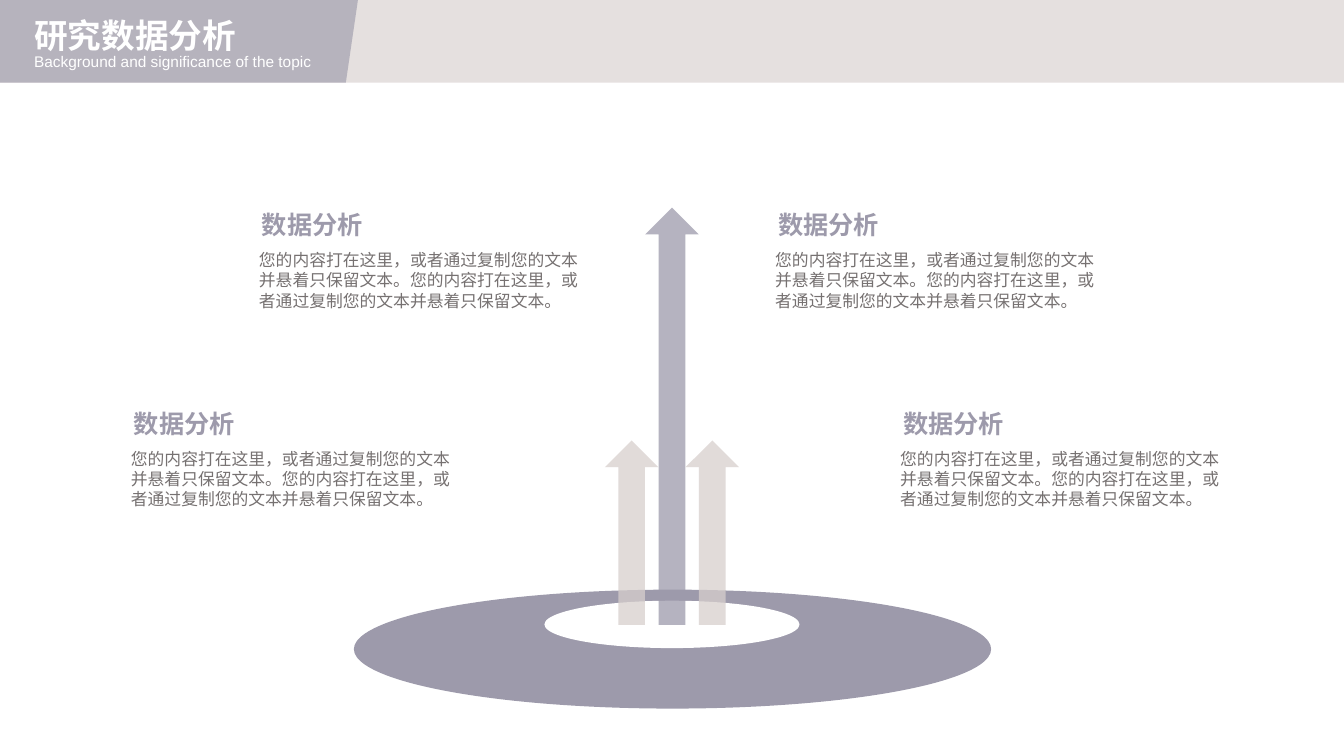
from lxml.etree import SubElement
from pptx import Presentation
from pptx.dml.color import RGBColor
from pptx.enum.shapes import MSO_SHAPE
from pptx.enum.text import MSO_ANCHOR, MSO_AUTO_SIZE, PP_ALIGN
from pptx.oxml.ns import qn
from pptx.util import Pt

PX = 9144
WIDTH, HEIGHT = 1333, 750
MAUVE, SAND, WHITE, GREY = "9D9AAB", "D7CFCD", "FFFFFF", "767171"
HEADING = "数据分析"
BODY = "您的内容打在这里，或者通过复制您的文本并悬着只保留文本。" * 2
BLOCKS = [(120, 400), (247, 203), (759, 203), (883, 400)]


def px(*lengths):
    """Turn px lengths into EMU."""
    return [n * PX for n in lengths]


def paint(sp, color, alpha=100):
    """Give a shape a flat fill, with no line and no shadow."""
    sp.shadow.inherit = False
    sp.line.fill.background()
    sp.fill.solid()
    sp.fill.fore_color.rgb = RGBColor.from_string(color)
    if alpha < 100:
        clr = sp.fill._xPr.find(".//" + qn("a:srgbClr"))
        SubElement(clr, qn("a:alpha")).set("val", str(alpha * 1000))


def add_preset(s, kind, box, color, alpha=100):
    """Add a painted preset shape."""
    sp = s.shapes.add_shape(kind, *px(*box))
    paint(sp, color, alpha)


def write(sp, text, size, color, bold=False, wrap=False):
    """Set and format the text of a shape."""
    tf = sp.text_frame
    tf.text = text
    tf.word_wrap = wrap
    tf.auto_size = MSO_AUTO_SIZE.NONE
    tf.vertical_anchor = MSO_ANCHOR.TOP
    p = tf.paragraphs[0]
    p.alignment = PP_ALIGN.LEFT
    font = p.runs[0].font
    font.name, font.size, font.bold = "Arial", Pt(size), bold
    font.color.rgb = RGBColor.from_string(color)


def add_text(s, box, text, size, color, bold=False, wrap=False):
    """Add a text box."""
    write(s.shapes.add_textbox(*px(*box)), text, size, color, bold, wrap)


def add_header(s, x, y, w, h):
    """Draw the band, the slanted tab and the two title lines."""
    add_preset(s, MSO_SHAPE.RECTANGLE, (x, y, w, h), SAND, 63)
    fb = s.shapes.build_freeform(x, y, scale=PX)
    fb.add_line_segments([(x + 355, y), (x + 343, y + h), (x, y + h)])
    paint(fb.convert_to_shape(), MAUVE, 64)
    title = s.shapes.title
    title.left, title.top, title.width, title.height = px(x + 24, y + 10, 222, 50)
    write(title, "研究数据分析", 24, WHITE, bold=True)
    s.shapes._spTree.append(title._element)
    add_text(s, (x + 24, y + 47, 297, 29),
             "Background and significance of the topic", 11, WHITE)


def add_target(s, x, y, w, h):
    """Draw the ring with three arrows rising from its centre."""
    mid, bottom = x + w // 2, y + h
    foot = bottom - 83
    add_preset(s, MSO_SHAPE.OVAL, (x, bottom - 118, w, 118), MAUVE)
    add_preset(s, MSO_SHAPE.OVAL, (mid - 127, foot - 24, 253, 47), WHITE)
    for dx, rise, color in [(0, 414, MAUVE), (40, 183, SAND), (-40, 183, SAND)]:
        add_preset(s, MSO_SHAPE.UP_ARROW,
                   (mid + dx - 27, foot - rise, 53, rise), color, 75)


def add_block(s, x, y, w, h):
    """Write a heading with its paragraph below."""
    add_text(s, (x + 3, y, 121, 40), HEADING, 18, MAUVE, bold=True)
    add_text(s, (x, y + 40, w, h - 40), BODY, 12, GREY, wrap=True)


def main():
    """Build and save the slide."""
    prs = Presentation()
    prs.slide_width, prs.slide_height = px(WIDTH, HEIGHT)
    s = prs.slides.add_slide(prs.slide_layouts[5])
    add_header(s, 0, 0, WIDTH, 82)
    add_target(s, 351, 206, 632, 497)
    for x, y in BLOCKS:
        add_block(s, x, y, 342, 171)
    prs.save("out.pptx")


if __name__ == "__main__":
    main()
